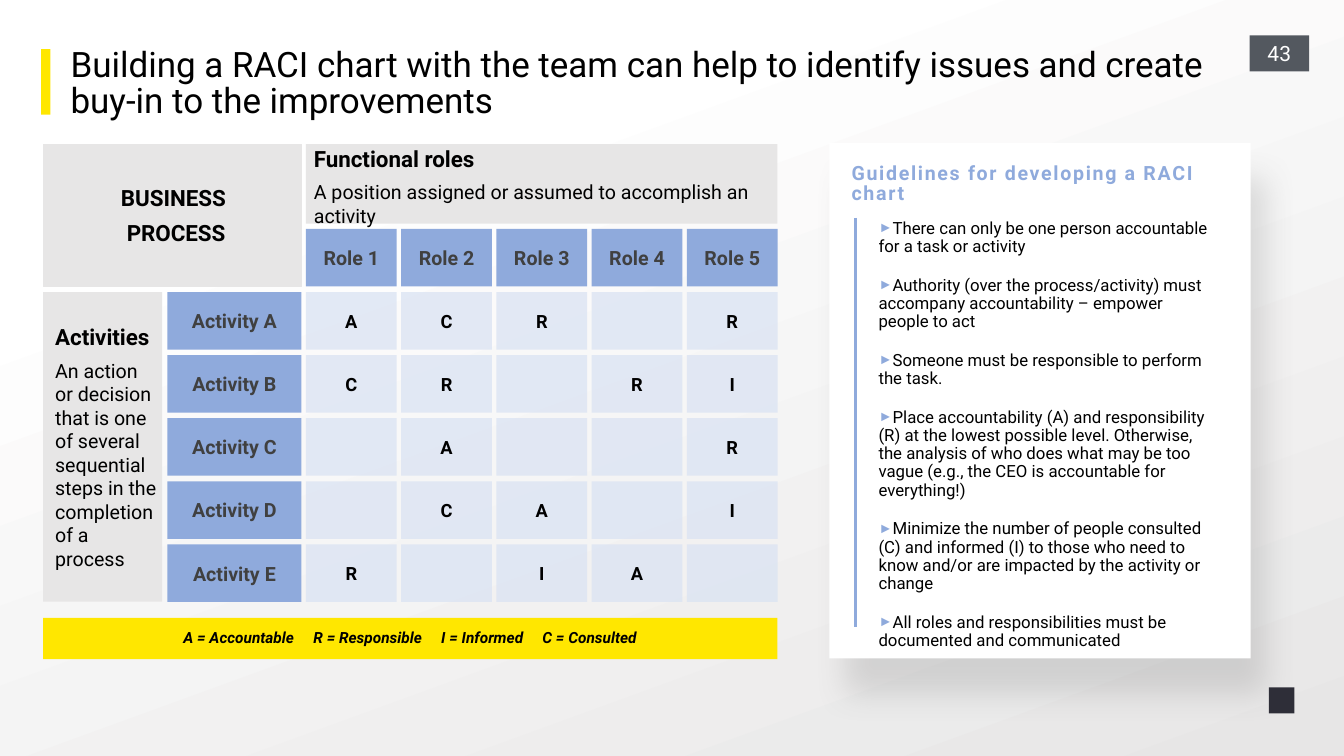
from lxml import etree
from pptx import Presentation
from pptx import util as u
from pptx.dml import color as dml
from pptx.enum import shapes, text
from pptx.oxml import ns

Cm = u.Cm
FONT = "Roboto"
COLORS = {
    "black": "000000", "white": "FFFFFF", "gray": "E7E6E6", "yellow": "FFE700",
    "blue": "8FAADC", "pale": "DAE3F3", "label": "404040", "page": "53585F",
    "mark": "2E2E38", "shadow": "5E5E5E",
}
LEFT, CENTER = text.PP_ALIGN.LEFT, text.PP_ALIGN.CENTER
TOP, MIDDLE = text.MSO_ANCHOR.TOP, text.MSO_ANCHOR.MIDDLE
GUIDELINES = [
    "There can only be one person accountable for a task or activity",
    "Authority (over the process/activity) must accompany accountability – empower people to act",
    "Someone must be responsible to perform the task.",
    "Place accountability (A) and responsibility (R) at the lowest possible level. Otherwise, "
    "the analysis of who does what may be too vague (e.g., the CEO is accountable for everything!)",
    "Minimize the number of people consulted (C) and informed (I) to those who need to know "
    "and/or are impacted by the activity or change",
    "All roles and responsibilities must be documented and communicated",
]
ASSIGNMENTS = {
    "Activity A": ["A", "C", "R", "", "R"],
    "Activity B": ["C", "R", "", "R", "I"],
    "Activity C": ["", "A", "", "", "R"],
    "Activity D": ["", "C", "A", "", "I"],
    "Activity E": ["R", "", "I", "A", ""],
}


def rgb(name):
    return dml.RGBColor.from_string(COLORS[name])


def add_element(parent, tag, **attributes):
    element = etree.SubElement(parent, ns.qn(tag))
    for key, value in attributes.items():
        element.set(key, str(value))
    return element


def set_frame(shape, insets=(0, 0, 0, 0), anchor=TOP, wrap=True):
    frame = shape.text_frame
    frame.word_wrap = wrap
    frame.auto_size = text.MSO_AUTO_SIZE.NONE
    frame.vertical_anchor = anchor
    (frame.margin_left, frame.margin_top,
     frame.margin_right, frame.margin_bottom) = [Cm(inset) for inset in insets]
    return frame


def add_text(frame, words, size, color="black", bold=False, align=LEFT, first=True):
    paragraph = frame.paragraphs[0] if first else frame.add_paragraph()
    paragraph.alignment = align
    run = paragraph.add_run()
    run.text = words
    run.font.name = FONT
    run.font.size = u.Pt(size)
    run.font.bold = bold
    run.font.color.rgb = rgb(color)
    return paragraph


def place(shape, box):
    shape.left, shape.top, shape.width, shape.height = [Cm(length) for length in box]


def add_box(slide, box, fill, line=None):
    shape = slide.shapes.add_shape(shapes.MSO_SHAPE.RECTANGLE, *[Cm(length) for length in box])
    shape.shadow.inherit = False
    shape.fill.solid()
    shape.fill.fore_color.rgb = rgb(fill)
    if line:
        shape.line.color.rgb = rgb(line)
        shape.line.width = u.Pt(0.75)
    else:
        shape.line.fill.background()
    return shape


def add_label(slide, box, words):
    frame = set_frame(add_box(slide, box, "blue"), (0.25, 0.1, 0.25, 0.1), MIDDLE)
    add_text(frame, words, 14, "label", True, CENTER)


def add_assignment(slide, box, letter):
    cell = add_box(slide, box, "pale")
    add_element(cell.element.spPr.find(".//" + ns.qn("a:srgbClr")), "a:alpha", val=75000)
    if letter:
        frame = set_frame(cell, (0.15, 0.15, 0.15, 0.15), MIDDLE, False)
        add_text(frame, letter, 13, bold=True, align=CENTER)


def add_heading_block(slide, box, insets, heading, description):
    frame = set_frame(add_box(slide, box, "gray"), insets, MIDDLE)
    add_text(frame, heading, 16, bold=True).space_after = u.Pt(6)
    add_text(frame, description, 14, first=False)


def add_legend(slide, box):
    frame = set_frame(add_box(slide, box, "yellow"), (3.53, 0.25, 0.38, 0.25), MIDDLE)
    paragraph = add_text(
        frame, "A = Accountable\tR = Responsible\tI = Informed\tC = Consulted", 11, bold=True)
    paragraph.line_spacing = 0.9
    paragraph.runs[0].font.italic = True
    tabs = add_element(paragraph._p.get_or_add_pPr(), "a:tabLst")
    for position in (3.28, 6.5, 9.05):
        add_element(tabs, "a:tab", pos=Cm(position), algn="l")


def build_background(slide):
    fill = slide.background.fill
    fill.gradient()
    fill.gradient_angle = 290
    for stop, color, position in zip(fill.gradient_stops, ("white", "gray"), (0.23, 1)):
        stop.color.rgb = rgb(color)
        stop.position = position


def build_header(slide, box):
    left, top, width, height = box
    add_box(slide, (left, top, 0.23, 1.65), "yellow")
    place(slide.shapes.title, (left + 0.74, top, 29.74, height))
    paragraph = add_text(
        set_frame(slide.shapes.title),
        "Building a RACI chart with the team can help to identify issues "
        "and create buy-in to the improvements", 25)
    paragraph.line_spacing = 0.85
    page = add_box(slide, (left + width - 1.5, top - 0.35, 1.5, 0.91), "page")
    add_text(set_frame(page, (0.15, 0.15, 0.15, 0.15), MIDDLE), "43", 15, "white", align=CENTER)


def build_matrix(slide, box):
    left, top, width, height = box
    role_left, role_top = left + 6.62, top + 2.14
    column_step, row_step = 2.4, 1.59
    cell_width, cell_height = 2.29, 1.45

    process = add_box(slide, (left, top, 6.5, 3.58), "gray", "gray")
    frame = set_frame(process, (0.3, 0.25, 0.1, 0.25), MIDDLE)
    add_text(frame, "BUSINESS ", 16, bold=True, align=CENTER).space_after = u.Pt(6)
    add_text(frame, "PROCESS", 16, bold=True, align=CENTER, first=False)
    add_heading_block(
        slide, (role_left, top, width - 6.62, 2.01), (0.2, 0.41, 0.2, 0.3),
        "Functional roles", "A position assigned or assumed to accomplish an activity")
    add_heading_block(
        slide, (left, role_top + row_step, 3, 7.8), (0.3, 0.25, 0.1, 0.25), "Activities",
        "An action or decision that is one of several sequential steps "
        "in the completion of a process")

    for column in range(5):
        add_label(slide, (role_left + column * column_step, role_top, cell_width, cell_height),
                  f"Role {column + 1}")
    for row, (activity, letters) in enumerate(ASSIGNMENTS.items(), 1):
        row_top = role_top + row * row_step
        add_label(slide, (left + 3.13, row_top, 3.38, cell_height), activity)
        for column, letter in enumerate(letters):
            cell_left = role_left + column * column_step
            add_assignment(slide, (cell_left, row_top, cell_width, cell_height), letter)
    add_legend(slide, (left, top + height - 1.04, width, 1.04))


def build_guidelines(slide, box):
    left, top, width, height = box
    card = add_box(slide, box, "white")
    effects = card.element.spPr.find(ns.qn("a:effectLst"))
    shadow = add_element(effects, "a:outerShdw", blurRad=u.Pt(22), dist=u.Pt(27.8),
                         dir=66 * 60000, algn="tl", rotWithShape=0)
    add_element(add_element(shadow, "a:srgbClr", val=COLORS["shadow"]), "a:alpha", val=18000)

    heading = slide.shapes.add_textbox(Cm(left + 0.56), Cm(top + 0.45), Cm(8.89), Cm(1.09))
    paragraph = add_text(set_frame(heading, (0, 0.1, 0, 0)),
                         "Guidelines for developing a RACI chart", 14, "blue", True)
    paragraph.line_spacing = u.Pt(14)
    paragraph.runs[0].font._element.set("spc", "120")

    body = slide.placeholders[1]
    card.element.addnext(body.element)
    place(body, (left + 0.99, top + 1.8, 8.99, height - 2.01))
    frame = set_frame(body, (0.25, 0.13, 0.25, 0.13))
    for index, guideline in enumerate(GUIDELINES):
        paragraph = add_text(frame, guideline, 12, first=index == 0)
        paragraph.line_spacing = 0.9
        paragraph.space_before = u.Pt(14.8 if index else 0)
        properties = paragraph._p.get_or_add_pPr()
        properties.set("marL", "0")
        properties.set("indent", str(Cm(-0.48)))
        add_element(add_element(properties, "a:buClr"), "a:srgbClr", val=COLORS["blue"])
        add_element(properties, "a:buSzPct", val=85000)
        add_element(properties, "a:buFont", typeface="Arial")
        add_element(properties, "a:buChar", char="►")

    rule = slide.shapes.add_connector(
        shapes.MSO_CONNECTOR.STRAIGHT,
        Cm(left + 0.66), Cm(top + 1.88), Cm(left + 0.66), Cm(top + 12.19))
    rule.line.color.rgb = rgb("blue")
    rule.line.width = u.Pt(1.5)
    add_element(rule.element.spPr, "a:effectLst")


def main():
    presentation = Presentation()
    presentation.slide_width, presentation.slide_height = Cm(33.87), Cm(19.05)
    slide = presentation.slides.add_slide(presentation.slide_layouts[1])
    build_background(slide)
    build_header(slide, (1.04, 1.24, 31.95, 1.63))
    build_matrix(slide, (1.09, 3.63, 18.5, 12.98))
    build_guidelines(slide, (20.9, 3.61, 10.62, 12.98))
    add_box(slide, (31.98, 17.32, 0.64, 0.66), "mark")
    presentation.save("out.pptx")


if __name__ == "__main__":
    main()
